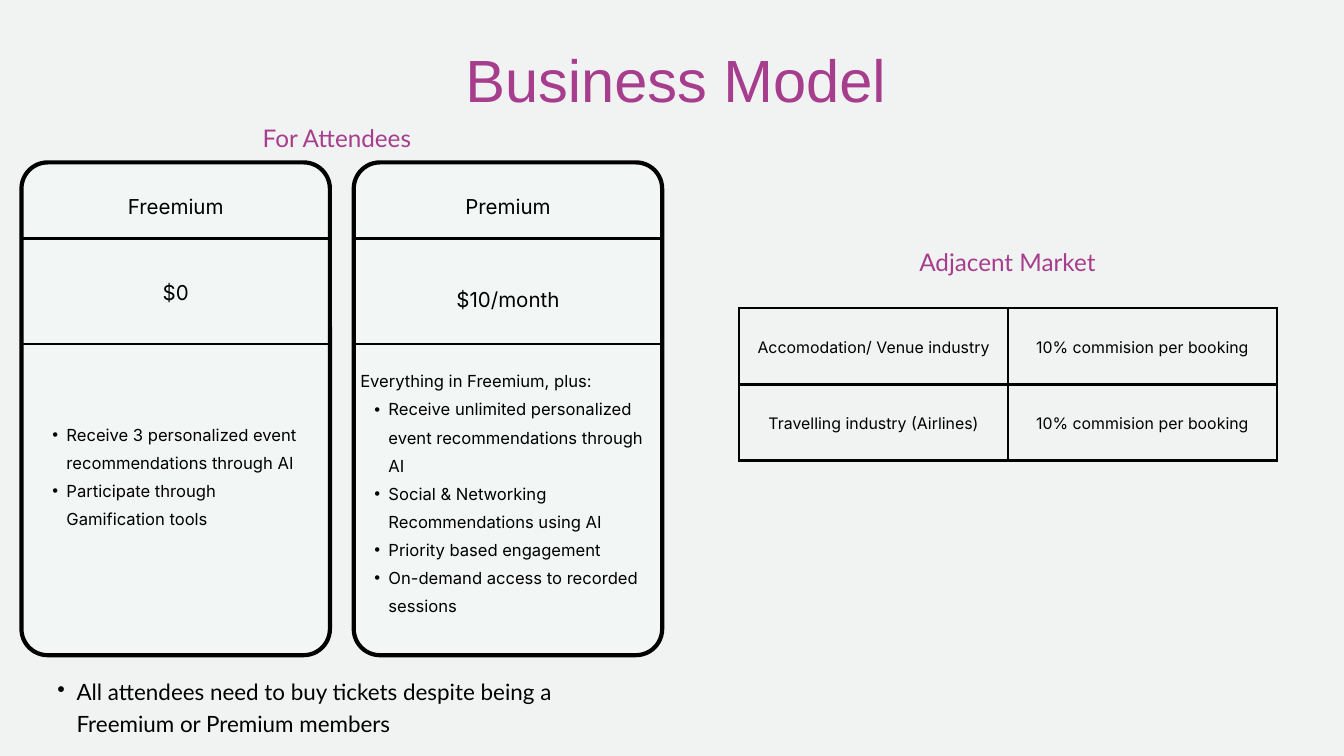
from lxml import etree
from pptx import Presentation
from pptx.dml.color import RGBColor
from pptx.enum.shapes import MSO_CONNECTOR, MSO_SHAPE
from pptx.enum.text import MSO_ANCHOR, MSO_AUTO_SIZE, PP_ALIGN
from pptx.oxml.ns import qn
from pptx.util import Pt

BACKGROUND = RGBColor(0xF1, 0xF2, 0xF2)
CARD_FILL = RGBColor(0xF2, 0xF6, 0xF4)
PURPLE = RGBColor(0xA6, 0x3D, 0x8D)
BLACK = RGBColor(0, 0, 0)
CENTER, LEFT = PP_ALIGN.CENTER, PP_ALIGN.LEFT
TOP, MIDDLE = MSO_ANCHOR.TOP, MSO_ANCHOR.MIDDLE
NO_AUTOSIZE = MSO_AUTO_SIZE.NONE
ROUNDED, STRAIGHT = MSO_SHAPE.ROUNDED_RECTANGLE, MSO_CONNECTOR.STRAIGHT
COMPARISON_LAYOUT = 4

CARD_WIDTH, CARD_HEIGHT, CARD_TOP = 330.5, 528, 174
FEATURE_INDENT = 30.25
FREEMIUM_FEATURES = [
    "Receive 3 personalized event recommendations through AI",
    "Participate through Gamification tools",
]
PREMIUM_INTRO = "Everything in Freemium, plus:"
PREMIUM_FEATURES = [
    PREMIUM_INTRO,
    "Receive unlimited personalized event recommendations through AI",
    "Social & Networking Recommendations using AI",
    "Priority based engagement",
    "On-demand access to recorded sessions",
]
MARKETS = [
    ("Accomodation/ Venue industry", "10% commision per booking"),
    ("Travelling industry (Airlines)", "10% commision per booking"),
]


def style_paragraph(paragraph, font, size, spacing, color=BLACK, align=CENTER):
    """Set alignment, exact line spacing and run formatting."""
    paragraph.alignment = align
    paragraph.line_spacing = Pt(spacing)
    paragraph.space_before = Pt(0)
    for run in paragraph.runs:
        run.font.name = font
        run.font.size = Pt(size)
        run.font.bold = False
        run.font.color.rgb = color


def set_bullet(paragraph, indent):
    """Give the paragraph a hanging bullet, or none when indent is zero."""
    properties = paragraph._p.get_or_add_pPr()
    properties.set("marL", str(Pt(indent)))
    properties.set("indent", str(-Pt(indent / 2)))
    if indent:
        etree.SubElement(properties, qn("a:buChar")).set("char", "•")
    else:
        etree.SubElement(properties, qn("a:buNone"))


def place(shape, box):
    """Move a text shape to its box and clear its margins."""
    shape.left, shape.top, shape.width, shape.height = map(Pt, box)
    frame = shape.text_frame
    frame.margin_left = frame.margin_right = 0
    frame.margin_top = frame.margin_bottom = 0
    frame.word_wrap = True
    frame.auto_size = NO_AUTOSIZE
    frame.vertical_anchor = TOP
    return frame


def write_line(shape, box, text, font, size, spacing, color=BLACK):
    """Write one centred line into a text shape."""
    frame = place(shape, box)
    frame.text = text
    paragraph = frame.paragraphs[0]
    style_paragraph(paragraph, font, size, spacing, color)
    set_bullet(paragraph, 0)


def write_list(shape, box, items, font, size, spacing, indent):
    """Write left-aligned bullets; the premium intro stays plain."""
    frame = place(shape, box)
    frame.text = "\n".join(items)
    for paragraph in frame.paragraphs:
        style_paragraph(paragraph, font, size, spacing, align=LEFT)
        set_bullet(paragraph, 0 if paragraph.text == PREMIUM_INTRO else indent)


def add_text_box(slide):
    """Add a text box to be placed later."""
    return slide.shapes.add_textbox(0, 0, 0, 0)


def add_plan_card(slide, left, name, price, price_top):
    """Draw a plan card with its dividers, name and price."""
    card = slide.shapes.add_shape(ROUNDED, Pt(left), Pt(CARD_TOP), Pt(CARD_WIDTH), Pt(CARD_HEIGHT))
    card.adjustments[0] = 0.085
    card.shadow.inherit = False
    card.fill.solid()
    card.fill.fore_color.rgb = CARD_FILL
    card.line.color.rgb = BLACK
    card.line.width = Pt(4.5)
    for offset in (81.5, 194.5):
        y = Pt(CARD_TOP + offset)
        divider = slide.shapes.add_connector(STRAIGHT, Pt(left), y, Pt(left + CARD_WIDTH), y)
        divider.line.color.rgb = BLACK
        divider.line.width = Pt(3)
        etree.SubElement(divider._element.spPr, qn("a:effectLst"))
    for text, offset in ((name, 22.5), (price, price_top)):
        box = (left, CARD_TOP + offset, CARD_WIDTH, 37)
        write_line(add_text_box(slide), box, text, "Inter", 22, 37.2)


def set_borders(cell):
    """Draw a black border on every side of a table cell."""
    properties = cell._tc.get_or_add_tcPr()
    for side in ("a:lnL", "a:lnR", "a:lnT", "a:lnB"):
        border = etree.SubElement(properties, qn(side))
        border.set("w", str(Pt(3)))
        fill = etree.SubElement(border, qn("a:solidFill"))
        etree.SubElement(fill, qn("a:srgbClr")).set("val", str(BLACK))


def add_market_table(slide, left, top, width, height):
    """Add the table of adjacent markets and commissions."""
    frame = slide.shapes.add_table(len(MARKETS), 2, Pt(left), Pt(top), Pt(width), Pt(height))
    table = frame.table
    table.first_row = table.horz_banding = False
    for row, texts in enumerate(MARKETS):
        for column, text in enumerate(texts):
            cell = table.cell(row, column)
            cell.text = text
            cell.vertical_anchor = MIDDLE
            cell.margin_left = cell.margin_right = Pt(15)
            cell.margin_top = cell.margin_bottom = Pt(15)
            set_borders(cell)
            cell.fill.background()
            style_paragraph(cell.text_frame.paragraphs[0], "Inter", 17, 23.8)


def main():
    """Build and save the business model slide."""
    presentation = Presentation()
    presentation.slide_width, presentation.slide_height = Pt(1440), Pt(810)
    slide = presentation.slides.add_slide(presentation.slide_layouts[COMPARISON_LAYOUT])
    slide.background.fill.solid()
    slide.background.fill.fore_color.rgb = BACKGROUND
    title, attendees, freemium, adjacent, premium = list(slide.placeholders)[:5]

    add_plan_card(slide, 23, "Freemium", "$0", 115)
    add_plan_card(slide, 379, "Premium", "$10/month", 123)
    add_market_table(slide, 792, 330, 576, 163.5)

    write_line(title, (239, 33, 970, 87), "Business Model", "Arial", 63.8, 89.3, PURPLE)
    write_line(attendees, (261, 127, 200, 34), "For Attendees", "Lato", 26, 36.4, PURPLE)
    write_line(adjacent, (977, 260, 205, 35), "Adjacent Market", "Lato", 26, 36.4, PURPLE)
    write_list(freemium, (41, 446.5, 292, 118), FREEMIUM_FEATURES, "Inter", 17.8, 30.1, FEATURE_INDENT)
    write_list(premium, (386, 389, 312.5, 268), PREMIUM_FEATURES, "Inter", 17.8, 30.1, FEATURE_INDENT)
    note = ["All attendees need to buy tickets despite being a Freemium or Premium members"]
    write_list(add_text_box(slide), (41, 722, 600, 68), note, "Lato", 24, 33.6, 41)

    for shape in (title, attendees, freemium, adjacent, premium):
        slide.shapes._spTree.append(shape._element)
    presentation.save("out.pptx")


if __name__ == "__main__":
    main()
